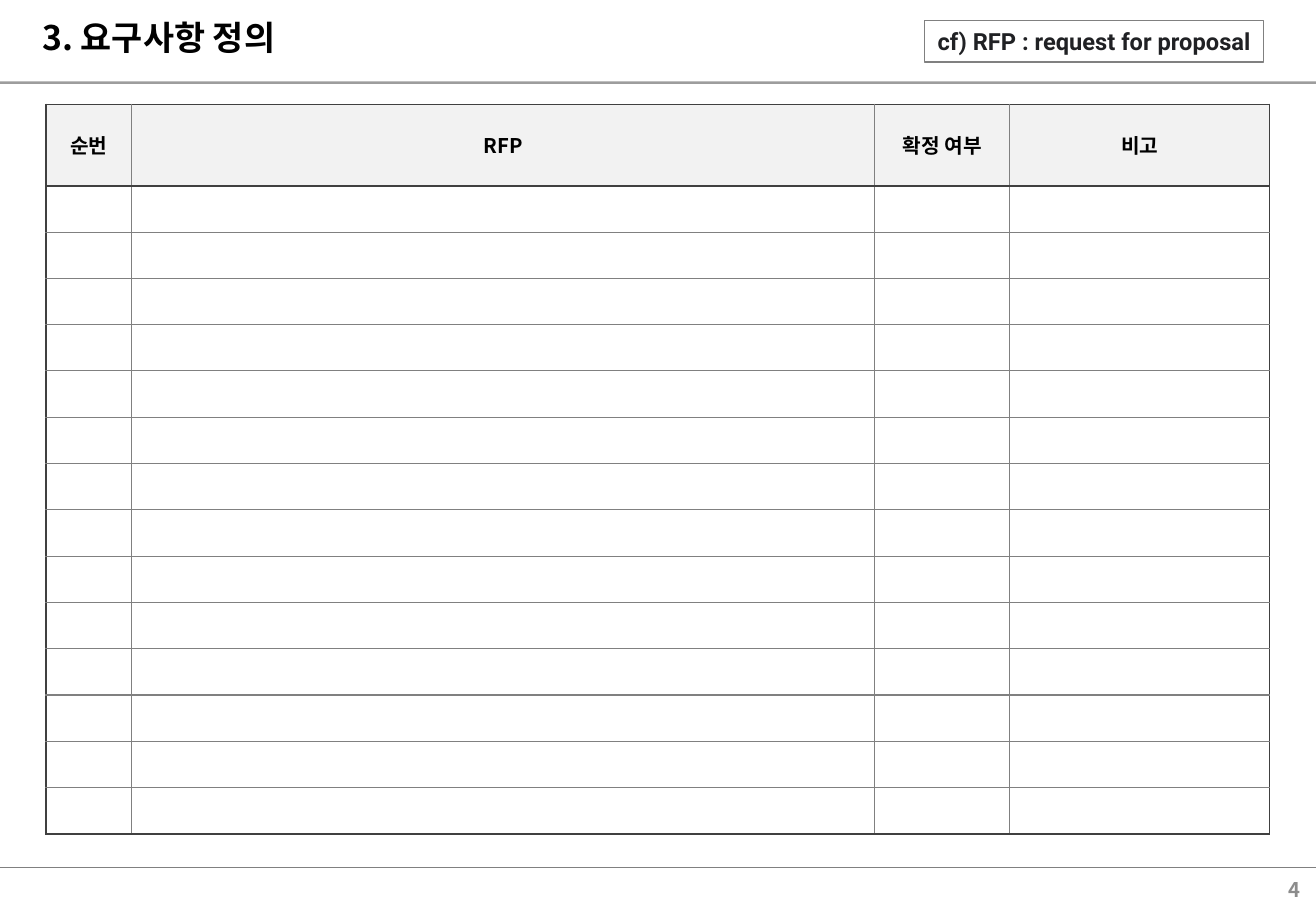
"""Build the requirements definition slide with its empty RFP table."""
import lxml.etree
import pptx
import pptx.dml.color
import pptx.enum.shapes
import pptx.enum.text
import pptx.oxml.ns
import pptx.util

TITLE = "3. 요구사항 정의"
NOTE = "cf) RFP : request for proposal"
PAGE_NUMBER = "4"
COLUMNS = [("순번", 0.7), ("RFP", 6.12), ("확정 여부", 1.11), ("비고", 2.14)]
EMPTY_ROWS = 14

COLORS = {"text": "000000", "note": "202124", "page": "8C8C8C",
          "grid": "808080", "frame": "404040", "header": "F2F2F2"}
KOREAN, LATIN = "Noto Sans CJK KR", "Roboto"
WIDTH, HEIGHT = 10.83, 7.5
TABLE_LEFT, TABLE_TOP, TABLE_HEIGHT, HEADER_HEIGHT = 0.38, 0.86, 6.01, 0.67
RULES = [(7.14, 0.75, 100), (0.68, 1.5, 76)]

ALIGN = pptx.enum.text.PP_ALIGN
ANCHOR = pptx.enum.text.MSO_ANCHOR
inches = pptx.util.Inches
qn = pptx.oxml.ns.qn


def rgb(name):
    return pptx.dml.color.RGBColor.from_string(COLORS[name])


def write(text_frame, text, size, color, align, font=KOREAN):
    paragraph = text_frame.paragraphs[0]
    paragraph.text = text
    paragraph.alignment = align
    run = paragraph.runs[0]
    run.font.size = pptx.util.Pt(size)
    run.font.bold = True
    run.font.name = font
    run.font.color.rgb = rgb(color)
    east_asian = lxml.etree.SubElement(run.font._element, qn("a:ea"))
    east_asian.set("typeface", font)


def add_text(slide, box, text, size, color, align, anchor):
    shape = slide.shapes.add_textbox(*map(inches, box))
    shape.text_frame.word_wrap = True
    shape.text_frame.vertical_anchor = anchor
    write(shape.text_frame, text, size, color, align)


def add_rule(slide, top, weight, opacity):
    line = slide.shapes.add_connector(
        pptx.enum.shapes.MSO_CONNECTOR.STRAIGHT, 0, inches(top), inches(WIDTH), inches(top))
    line.line.color.rgb = rgb("grid")
    line.line.width = pptx.util.Pt(weight)
    if opacity < 100:
        color = line.line._ln.find(".//" + qn("a:srgbClr"))
        lxml.etree.SubElement(color, qn("a:alpha")).set("val", str(opacity * 1000))
    lxml.etree.SubElement(line._element.spPr, qn("a:effectLst"))


def set_borders(cell, framed):
    properties = cell._tc.get_or_add_tcPr()
    for side in "LRTB":
        color, weight = ("frame", 1) if side in framed else ("grid", 0.75)
        border = lxml.etree.SubElement(properties, qn("a:ln" + side))
        border.set("w", str(pptx.util.Pt(weight)))
        fill = lxml.etree.SubElement(border, qn("a:solidFill"))
        lxml.etree.SubElement(fill, qn("a:srgbClr")).set("val", COLORS[color])


def add_requirements_table(slide):
    table_width = sum(width for _, width in COLUMNS)
    table = slide.shapes.add_table(
        EMPTY_ROWS + 1, len(COLUMNS), inches(TABLE_LEFT), inches(TABLE_TOP),
        inches(table_width), inches(TABLE_HEIGHT)).table
    table.first_row = table.horz_banding = False
    row_height = (TABLE_HEIGHT - HEADER_HEIGHT) / EMPTY_ROWS
    for column, (_, width) in zip(table.columns, COLUMNS):
        column.width = inches(width)
    for row_index, row in enumerate(table.rows):
        row.height = inches(row_height if row_index else HEADER_HEIGHT)
        for column_index, cell in enumerate(row.cells):
            edges = {"L": column_index == 0, "R": column_index == len(COLUMNS) - 1,
                     "T": row_index <= 1, "B": row_index in (0, EMPTY_ROWS)}
            set_borders(cell, [side for side, framed in edges.items() if framed])
            cell.vertical_anchor = ANCHOR.MIDDLE
            if row_index == 0:
                cell.fill.solid()
                cell.fill.fore_color.rgb = rgb("header")
                write(cell.text_frame, COLUMNS[column_index][0], 12, "text", ALIGN.CENTER)
            else:
                cell.fill.background()
                paragraph = cell.text_frame.paragraphs[0]
                lxml.etree.SubElement(paragraph._p, qn("a:endParaRPr")).set("sz", "1000")


def add_note(slide):
    shape = slide.shapes.add_shape(
        pptx.enum.shapes.MSO_SHAPE.RECTANGLE, *map(inches, (7.61, 0.17, 2.79, 0.34)))
    shape.shadow.inherit = False
    shape.fill.background()
    shape.line.color.rgb = rgb("grid")
    shape.line.width = pptx.util.Pt(0.75)
    shape.text_frame.word_wrap = False
    shape.text_frame.vertical_anchor = ANCHOR.MIDDLE
    write(shape.text_frame, NOTE, 14, "note", ALIGN.CENTER, LATIN)


def main():
    presentation = pptx.Presentation()
    presentation.slide_width, presentation.slide_height = inches(WIDTH), inches(HEIGHT)
    slide = presentation.slides.add_slide(presentation.slide_layouts[6])
    for rule in RULES:
        add_rule(slide, *rule)
    add_text(slide, (0.25, 0.09, 10.43, 0.49), TITLE, 20, "text", ALIGN.LEFT, ANCHOR.TOP)
    add_text(slide, (8.36, 7.17, 2.44, 0.31), PAGE_NUMBER, 12, "page", ALIGN.RIGHT, ANCHOR.MIDDLE)
    add_requirements_table(slide)
    add_note(slide)
    presentation.save("out.pptx")


if __name__ == "__main__":
    main()
